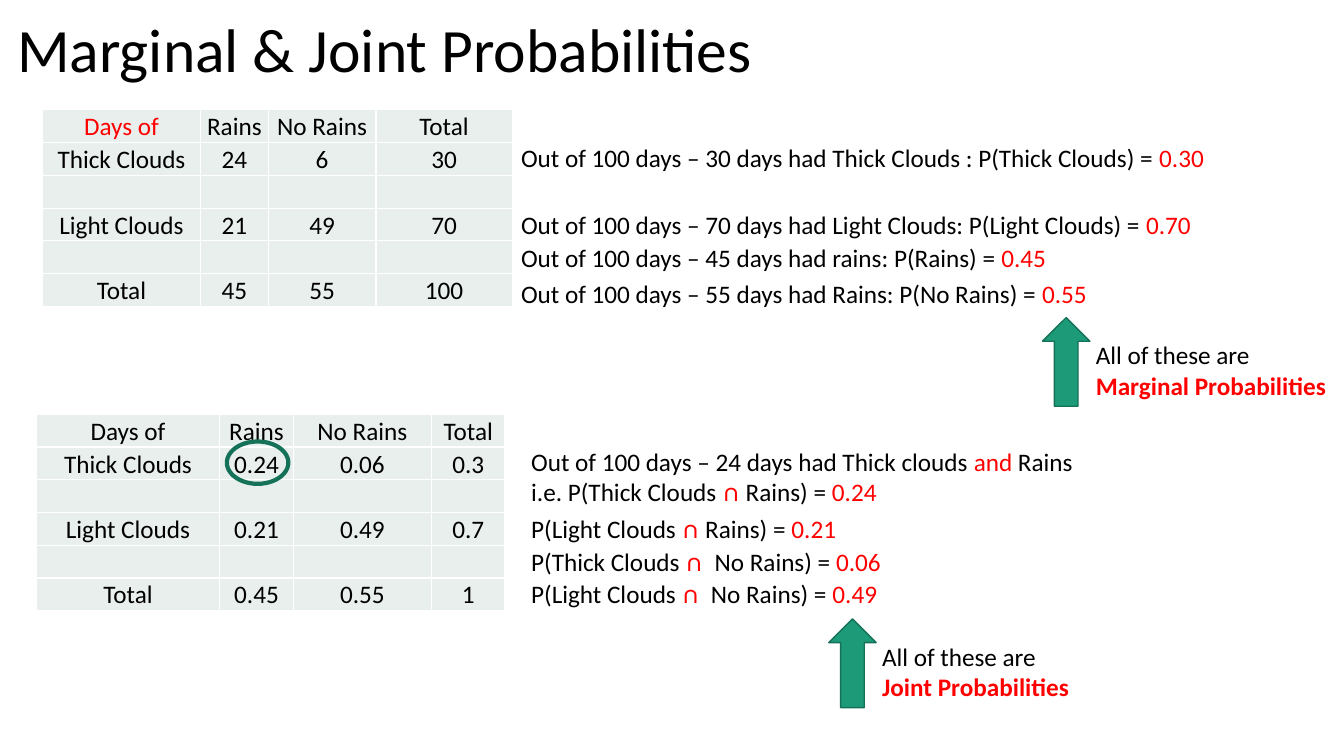
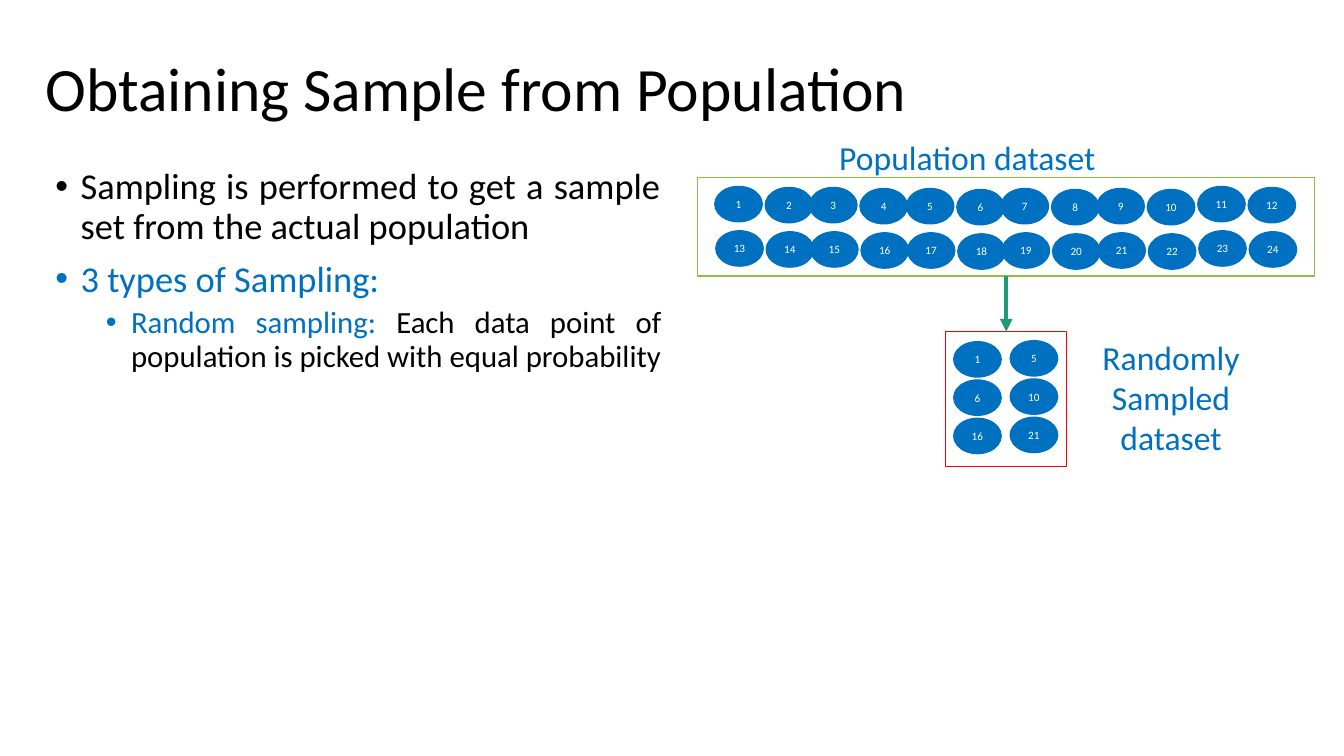
from lxml.etree import SubElement
from pptx import Presentation
from pptx.dml.color import RGBColor
from pptx.enum.shapes import MSO_CONNECTOR, MSO_SHAPE
from pptx.enum.text import MSO_ANCHOR, MSO_AUTO_SIZE, PP_ALIGN
from pptx.oxml.ns import qn
from pptx.util import Inches, Pt

# Shared style
FONT = "Calibri"
BLACK = RGBColor(0x00, 0x00, 0x00)
WHITE = RGBColor(0xFF, 0xFF, 0xFF)
RED = RGBColor(0xFF, 0x00, 0x00)
BLUE = RGBColor(0x00, 0x70, 0xC0)
GREEN = RGBColor(0x1D, 0x9A, 0x78)
DARK_GREEN = RGBColor(0x15, 0x72, 0x59)
LIME = RGBColor(0x8B, 0xC1, 0x45)
CELL = RGBColor(0xE8, 0xEF, 0xEC)

TITLE_ONLY, TITLE_AND_BODY = 5, 1
ROW_H = 0.325
BALL_W, BALL_H = 0.47, 0.35

# Slide 1 content
HEADER = ["Days of", "Rains", "No Rains", "Total"]
COUNTS = [HEADER, ["Thick Clouds", "24", "6", "30"], [""] * 4,
          ["Light Clouds", "21", "49", "70"], [""] * 4,
          ["Total", "45", "55", "100"]]
SHARES = [HEADER, ["Thick Clouds", "0.24", "0.06", "0.3"], [""] * 4,
          ["Light Clouds", "0.21", "0.49", "0.7"], [""] * 4,
          ["Total", "0.45", "0.55", "1"]]
MARGINALS = [
    (1.36, "Out of 100 days – 30 days had Thick Clouds : P(Thick Clouds) = ", "0.30"),
    (2.03, "Out of 100 days – 70 days had Light Clouds: P(Light Clouds) = ", "0.70"),
    (2.36, "Out of 100 days – 45 days had rains: P(Rains) = ", "0.45"),
    (2.71, "Out of 100 days – 55 days had Rains: P(No Rains) = ", "0.55"),
]
JOINTS = [
    (5.04, "P(Light Clouds ", " Rains) = ", "0.21"),
    (5.37, "P(Thick Clouds ", "  No Rains) = ", "0.06"),
    (5.69, "P(Light Clouds ", "  No Rains) = ", "0.49"),
]

# Slide 2 content: left and top of each ball in the upper population row
POPULATION = [(7.09, 1.85), (7.59, 1.86), (8.03, 1.86), (8.53, 1.87),
              (8.99, 1.87), (9.49, 1.88), (9.93, 1.87), (10.43, 1.88),
              (10.88, 1.87), (11.38, 1.88), (11.88, 1.85), (12.38, 1.86)]
SAMPLE = [(1, 5), (6, 10), (16, 21)]


def box(x, y, w, h):
    return Inches(x), Inches(y), Inches(w), Inches(h)


def add_run(p, text, size, color=BLACK, bold=False):
    r = p.add_run()
    r.text = text
    r.font.name, r.font.size, r.font.bold = FONT, Pt(size), bold
    r.font.color.rgb = color


def fill_paragraphs(tf, paragraphs, size, align=PP_ALIGN.LEFT):
    """Each paragraph is a list of (text, color, bold) runs; the last two are optional."""
    for i, runs in enumerate(paragraphs):
        p = tf.add_paragraph() if i else tf.paragraphs[0]
        p.alignment = align
        for run in runs:
            add_run(p, run[0], size, *run[1:])


def add_text(s, at, paragraphs, size=18, align=PP_ALIGN.LEFT):
    tf = s.shapes.add_textbox(*box(*at)).text_frame
    tf.word_wrap = True
    fill_paragraphs(tf, paragraphs, size, align)


def set_title(s, at, text):
    sp = s.shapes.title
    sp.left, sp.top, sp.width, sp.height = box(*at)
    tf = sp.text_frame
    tf.auto_size = MSO_AUTO_SIZE.NONE
    tf.vertical_anchor = MSO_ANCHOR.MIDDLE
    fill_paragraphs(tf, [[(text,)]], 44)
    tf.paragraphs[0].line_spacing = 0.9


def add_figure(shapes, kind, at, fill, line, width=1):
    sp = shapes.add_shape(kind, *box(*at))
    sp.shadow.inherit = False
    if fill is None:
        sp.fill.background()
    else:
        sp.fill.solid()
        sp.fill.fore_color.rgb = fill
    sp.line.color.rgb, sp.line.width = line, Pt(width)
    return sp


def add_ball(shapes, x, y, number):
    sp = add_figure(shapes, MSO_SHAPE.OVAL, (x, y, BALL_W, BALL_H), BLUE, BLUE)
    tf = sp.text_frame
    tf.margin_left = tf.margin_right = tf.margin_top = tf.margin_bottom = 0
    tf.vertical_anchor = MSO_ANCHOR.MIDDLE
    fill_paragraphs(tf, [[(str(number), WHITE)]], 8, PP_ALIGN.CENTER)


def style_cell(cell):
    cell.margin_left = cell.margin_right = cell.margin_top = Inches(0.01)
    cell.margin_bottom = 0
    cell.vertical_anchor = MSO_ANCHOR.BOTTOM
    tc_pr = cell._tc.get_or_add_tcPr()
    for side in ("lnL", "lnR", "lnT", "lnB"):
        ln = SubElement(tc_pr, qn(f"a:{side}"), w=str(Pt(1)))
        SubElement(SubElement(ln, qn("a:solidFill")), qn("a:srgbClr"), val=str(WHITE))
    cell.fill.solid()
    cell.fill.fore_color.rgb = CELL


def add_days_table(s, x, y, widths, rows, corner_color):
    table = s.shapes.add_table(len(rows), len(widths),
                               *box(x, y, sum(widths), ROW_H * len(rows))).table
    table.first_row = table.horz_banding = False
    for column, width in zip(table.columns, widths):
        column.width = Inches(width)
    for i, row in enumerate(rows):
        table.rows[i].height = Inches(ROW_H)
        for j, text in enumerate(row):
            cell = table.cell(i, j)
            style_cell(cell)
            if text:
                color = corner_color if i == j == 0 else BLACK
                fill_paragraphs(cell.text_frame, [[(text, color)]], 18, PP_ALIGN.CENTER)


def add_callout(s, x, y, name):
    add_figure(s.shapes, MSO_SHAPE.UP_ARROW, (x, y, 0.47, 0.88), GREEN, DARK_GREEN)
    add_text(s, (x + 0.43, y + 0.17, 2.56, 0.71),
             [[("All of these are",)], [(name, RED, True)]])


def add_bullet(tf, runs, size, level=0):
    first = tf.paragraphs[0]
    p = tf.add_paragraph() if first.runs else first
    p.level, p.alignment = level, PP_ALIGN.JUSTIFY
    p.line_spacing, p.space_before = 0.9, Pt(5 if level else 10)
    p_pr = p._p.get_or_add_pPr()
    p_pr.set("marL", str(Inches(0.25 + 0.5 * level)))
    p_pr.set("indent", str(Inches(-0.25)))
    SubElement(p_pr, qn("a:buFont"), typeface="Arial")
    SubElement(p_pr, qn("a:buChar"), char="•")
    for text, color in runs:
        add_run(p, text, size, color)


def add_arrow(s, start, end):
    """Arrow from the bottom of one shape to the top of another."""
    cxn = s.shapes.add_connector(MSO_CONNECTOR.STRAIGHT, 0, 0, 0, 0)
    cxn.begin_connect(start, 2)
    cxn.end_connect(end, 0)
    cxn.line.color.rgb, cxn.line.width = GREEN, Pt(3)
    SubElement(cxn.line._get_or_add_ln(), qn("a:tailEnd"), type="triangle")
    SubElement(cxn._element.spPr, qn("a:effectLst"))


def build_probabilities(prs):
    s = prs.slides.add_slide(prs.slide_layouts[TITLE_ONLY])
    set_title(s, (0.07, 0.09, 11.5, 0.86), "Marginal & Joint Probabilities")

    # Marginal probabilities
    add_days_table(s, 0.42, 1.09, [1.57, 0.67, 1.07, 1.35], COUNTS, RED)
    for y, text, value in MARGINALS:
        add_text(s, (5.07, y, 7.84, 0.4), [[(text,), (value, RED)]])
    add_callout(s, 10.34, 3.15, "Marginal Probabilities")

    # Joint probabilities
    add_days_table(s, 0.36, 4.11, [1.82, 0.73, 1.37, 0.73], SHARES, BLACK)
    add_figure(s.shapes, MSO_SHAPE.OVAL, (2.25, 4.38, 0.61, 0.42), None, DARK_GREEN, 3)
    cap = ("∩", RED, True)
    add_text(s, (5.17, 4.38, 6.96, 0.71), [
        [("Out of 100 days – 24 days had Thick clouds ",), ("and", RED), (" Rains",)],
        [("i.e. P(Thick Clouds ",), cap, (" Rains) = ",), ("0.24", RED)]])
    for y, before, after, value in JOINTS:
        add_text(s, (5.17, y, 6.96, 0.4), [[(before,), cap, (after,), (value, RED)]])
    add_callout(s, 8.22, 6.14, "Joint Probabilities")


def build_sampling(prs):
    s = prs.slides.add_slide(prs.slide_layouts[TITLE_AND_BODY])
    set_title(s, (0.35, 0.29, 10.49, 1.23), "Obtaining Sample from Population")

    # Bullet list
    body = s.placeholders[1]
    body.left, body.top, body.width, body.height = box(0.45, 1.62, 6.21, 5.2)
    tf = body.text_frame
    tf.auto_size = MSO_AUTO_SIZE.NONE
    add_bullet(tf, [("Sampling is performed to get a sample set from the actual population",
                     BLACK)], 26)
    add_bullet(tf, [("3 types of Sampling:", BLUE)], 26)
    add_bullet(tf, [("Random sampling: ", BLUE),
                    ("Each data point of population is picked with equal probability",
                     BLACK)], 22, level=1)

    # Population: two rows of numbered balls
    population = s.shapes.add_group_shape().shapes
    frame = add_figure(population, MSO_SHAPE.RECTANGLE, (6.92, 1.76, 6.12, 0.98), WHITE, LIME)
    for number, (x, y) in enumerate(POPULATION, 1):
        add_ball(population, x, y, number)
        add_ball(population, x + 0.01, y + 0.44, number + len(POPULATION))

    # Sample: three rows of two
    sample = s.shapes.add_group_shape().shapes
    sample_frame = add_figure(sample, MSO_SHAPE.RECTANGLE, (9.38, 3.29, 1.2, 1.34), WHITE, RED)
    for row, (left, right) in enumerate(SAMPLE):
        y = 3.39 + 0.38 * row
        add_ball(sample, 9.46, y, left)
        add_ball(sample, 10.02, y - 0.01, right)

    # Labels and arrow
    add_text(s, (8.21, 1.31, 2.77, 0.5), [[("Population dataset", BLUE)]], 24, PP_ALIGN.CENTER)
    add_text(s, (10.83, 3.29, 1.57, 1.31),
             [[(word, BLUE)] for word in ("Randomly", "Sampled", "dataset")],
             24, PP_ALIGN.CENTER)
    add_arrow(s, frame, sample_frame)


def main():
    prs = Presentation()
    prs.slide_width, prs.slide_height = Inches(13.33), Inches(7.5)
    build_probabilities(prs)
    build_sampling(prs)
    prs.save("out.pptx")


if __name__ == "__main__":
    main()
